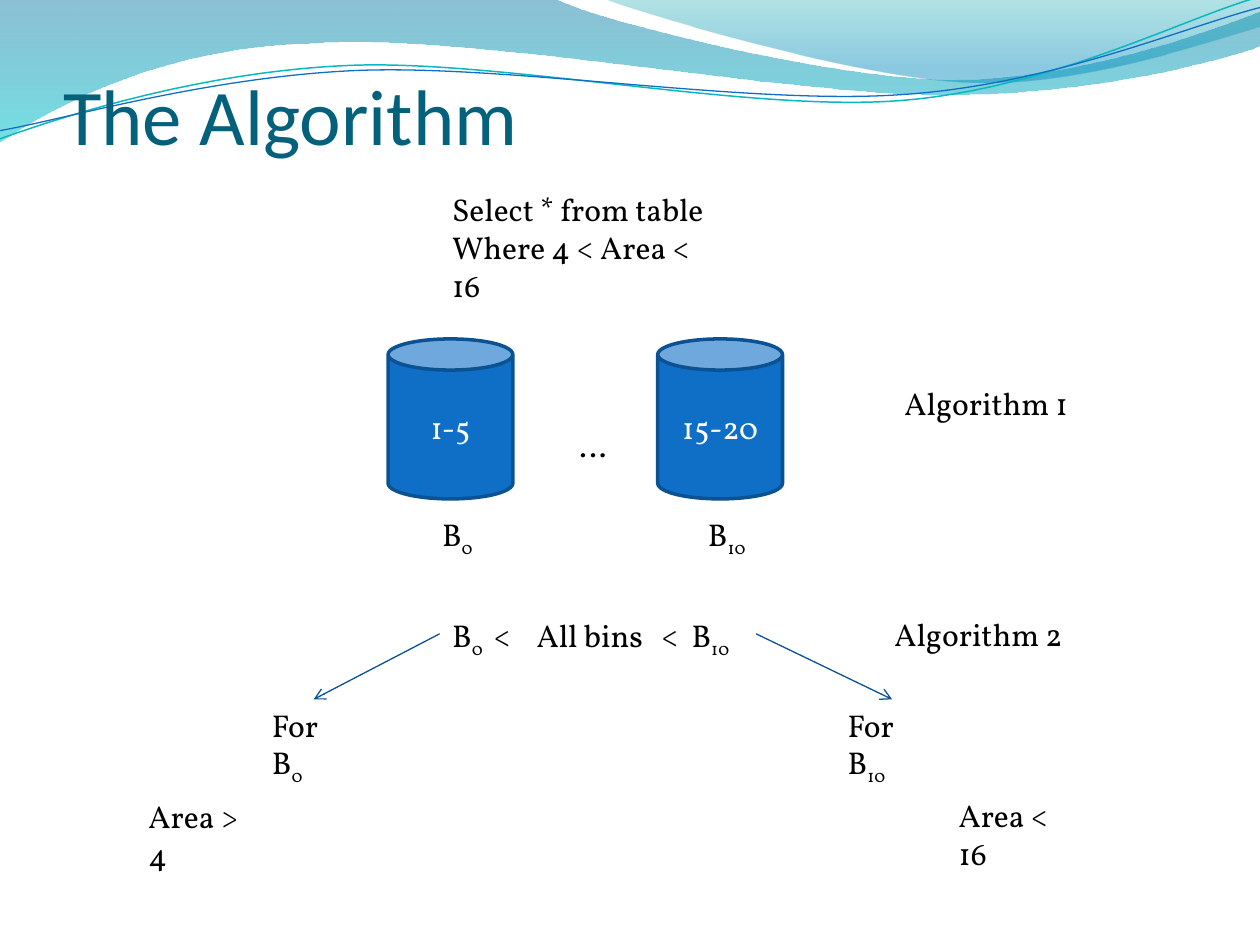
import pptx
import pptx.dml.color
import pptx.enum.shapes
import pptx.enum.text
import pptx.oxml
import pptx.oxml.ns
import pptx.util
from pptx.util import Inches

COLORS = {
    "title": "04617B", "text": "000000", "white": "FFFFFF",
    "can": "0F6FC6", "can edge": "0B5292", "arrow": "095295",
    "teal line": "0AB8BF", "blue line": "0F6FC6",
    "wave top": "0074A1", "wave bottom": "00C6CF",
    "crest top": "00A1A9", "crest bottom": "008BBF",
}
BODY_FONT = "Vollkorn"
NAMESPACE = pptx.oxml.ns.nsdecls("a")
qn = pptx.oxml.ns.qn


def rgb(name):
    return pptx.dml.color.RGBColor.from_string(COLORS[name])


def add_runs(paragraph, text, color="text", size=18, font=BODY_FONT):
    """Add runs; the parts between underscores are subscripts."""
    for index, part in enumerate(text.split("_")):
        if not part:
            continue
        run = paragraph.add_run()
        run.text = part
        run.font.name = font
        run.font.size = pptx.util.Pt(size)
        run.font.color.rgb = rgb(color)
        if index % 2:
            run.font._element.set("baseline", "-25000")


presentation = pptx.Presentation()
presentation.slide_width = Inches(10)
presentation.slide_height = Inches(7.5)
slide = presentation.slides.add_slide(presentation.slide_layouts[5])
shapes = slide.shapes

# Waves: each segment holds an end point, or two control points and an end point
waves = [
    ((0, 0), [(4.4, -0.01), (4.76, 0.17, 6.64, 0.63, 7.58, 0.63),
              (8.53, 0.63, 9.58, 0.26, 10, 0.09), (10.01, 0.36),
              (9.83, 0.44, 8.7, 0.76, 7.46, 0.75),
              (6.22, 0.75, 3.82, 0.28, 2.57, 0.34),
              (1.29, 0.36, 0.46, 0.83, -0.01, 1.13), (0, 0)],
     [(0, "wave top", 45), (1, "wave bottom", 55)], None),
    ((4.79, -0.01), [(5.09, 0.11, 6.82, 0.62, 7.69, 0.65),
                     (8.56, 0.69, 9.61, 0.32, 10, 0.21), (10, 0), (4.79, -0.01)],
     [(0, "crest top", 30), (0.8, "crest bottom", 45)], None),
    ((-0.02, 1.11), [(0.48, 0.93, 1.58, 0.57, 2.77, 0.52),
                     (3.95, 0.47, 5.93, 0.89, 7.13, 0.8),
                     (8.33, 0.71, 9.38, 0.15, 9.98, -0.02)],
     None, ("teal line", 0.85)),
    ((-0.02, 1.04), [(0.47, 0.96, 1.64, 0.61, 2.83, 0.56),
                     (4.03, 0.51, 5.97, 0.84, 7.17, 0.75),
                     (8.36, 0.67, 9.41, 0.21, 10, 0.06)],
     None, ("blue line", 0.75)),
]
for start, segments, gradient, line in waves:
    builder = shapes.build_freeform(Inches(start[0]), Inches(start[1]))
    builder.add_line_segments(
        [(Inches(segment[-2]), Inches(segment[-1])) for segment in segments],
        close=gradient is not None)
    wave = builder.convert_to_shape()
    wave.shadow.inherit = False

    # Bend the straight segments that have control points
    straight_lines = list(wave.element.spPr.iter(qn("a:lnTo")))
    for straight, segment in zip(straight_lines, segments):
        if len(segment) == 6:
            points = "".join(
                f'<a:pt x="{Inches(x) - wave.left}" y="{Inches(y) - wave.top}"/>'
                for x, y in zip(segment[::2], segment[1::2]))
            straight.getparent().replace(straight, pptx.oxml.parse_xml(
                f'<a:cubicBezTo {NAMESPACE}>{points}</a:cubicBezTo>'))

    if gradient:
        wave.line.fill.background()
        wave.fill.gradient()
        wave.fill.gradient_angle = 270
        for stop, (position, color, opacity) in zip(wave.fill.gradient_stops, gradient):
            stop.position = position
            stop.color.rgb = rgb(color)
        for element, (position, color, opacity) in zip(
                wave.element.spPr.iter(qn("a:srgbClr")), gradient):
            element.append(pptx.oxml.parse_xml(
                f'<a:alpha {NAMESPACE} val="{opacity * 1000}"/>'))
    else:
        wave.fill.background()
        wave.line.color.rgb = rgb(line[0])
        wave.line.width = pptx.util.Pt(line[1])

# Title, in front of the waves
title = shapes.title
title.element.getparent().append(title.element)
title.left, title.top = Inches(0.5), Inches(0.77)
title.width, title.height = Inches(9.08), Inches(1.25)
frame = title.text_frame
frame.auto_size = pptx.enum.text.MSO_AUTO_SIZE.NONE
frame.vertical_anchor = pptx.enum.text.MSO_ANCHOR.BOTTOM
frame.margin_left = frame.margin_right = 0
frame.margin_top, frame.margin_bottom = Inches(0.05), Inches(0.74)
frame.paragraphs[0].alignment = pptx.enum.text.PP_ALIGN.LEFT
add_runs(frame.paragraphs[0], "The Algorithm", "title", 45, "Calibri")

# Bins
for left, label in [(3.08, "1-5"), (5.22, "15-20")]:
    can = shapes.add_shape(pptx.enum.shapes.MSO_SHAPE.CAN,
                           Inches(left), Inches(2.69), Inches(0.99), Inches(1.27))
    can.shadow.inherit = False
    can.fill.solid()
    can.fill.fore_color.rgb = rgb("can")
    can.line.color.rgb = rgb("can edge")
    can.line.width = pptx.util.Pt(2)
    can.text_frame.vertical_anchor = pptx.enum.text.MSO_ANCHOR.MIDDLE
    can.text_frame.paragraphs[0].alignment = pptx.enum.text.PP_ALIGN.CENTER
    add_runs(can.text_frame.paragraphs[0], label, "white")

# Labels: left, top, width, height, lines, tab stops
labels = [
    (4.5, 3.33, 0.39, 0.39, ["…"], []),
    (3.49, 1.46, 2.34, 0.67, ["Select * from table", "Where 4 < Area < 16"], []),
    (3.49, 4.84, 2.51, 0.39, ["B_0_\t<\tAll bins\t<\tB_10_"], [0.33, 0.67, 1.66, 1.9]),
    (3.41, 4.04, 0.48, 0.39, ["B_0_"], []),
    (5.47, 4.04, 0.55, 0.39, [" B_10_"], []),
    (2.06, 5.55, 0.85, 0.39, ["For B_0_"], []),
    (6.63, 5.55, 0.9, 0.39, ["For B_10_"], []),
    (1.08, 6.28, 1.09, 0.39, ["Area > 4"], []),
    (7.51, 6.27, 1.17, 0.39, ["Area < 16"], []),
    (7.08, 3, 2.08, 0.4, ["Algorithm 1"], []),
    (7, 4.83, 2.08, 0.4, ["Algorithm 2"], []),
]
for left, top, width, height, lines, tab_stops in labels:
    box = shapes.add_textbox(Inches(left), Inches(top), Inches(width), Inches(height))
    frame = box.text_frame
    frame.word_wrap = True
    for index, text in enumerate(lines):
        paragraph = frame.add_paragraph() if index else frame.paragraphs[0]
        add_runs(paragraph, text)
        if tab_stops:
            tabs = "".join(f'<a:tab pos="{Inches(stop)}" algn="l"/>' for stop in tab_stops)
            paragraph._p.get_or_add_pPr().append(pptx.oxml.parse_xml(
                f'<a:tabLst {NAMESPACE}>{tabs}</a:tabLst>'))

# Arrows to the two edge bins
for start_x, end_x in [(3.49, 2.49), (6, 7.08)]:
    arrow = shapes.add_connector(pptx.enum.shapes.MSO_CONNECTOR.STRAIGHT,
                                 Inches(start_x), Inches(5.03), Inches(end_x), Inches(5.55))
    arrow.line.color.rgb = rgb("arrow")
    arrow.line.width = pptx.util.Pt(0.75)
    arrow.line._get_or_add_ln().append(pptx.oxml.parse_xml(
        f'<a:tailEnd {NAMESPACE} type="arrow"/>'))
    arrow.element.spPr.append(pptx.oxml.parse_xml(f'<a:effectLst {NAMESPACE}/>'))

presentation.save("out.pptx")
